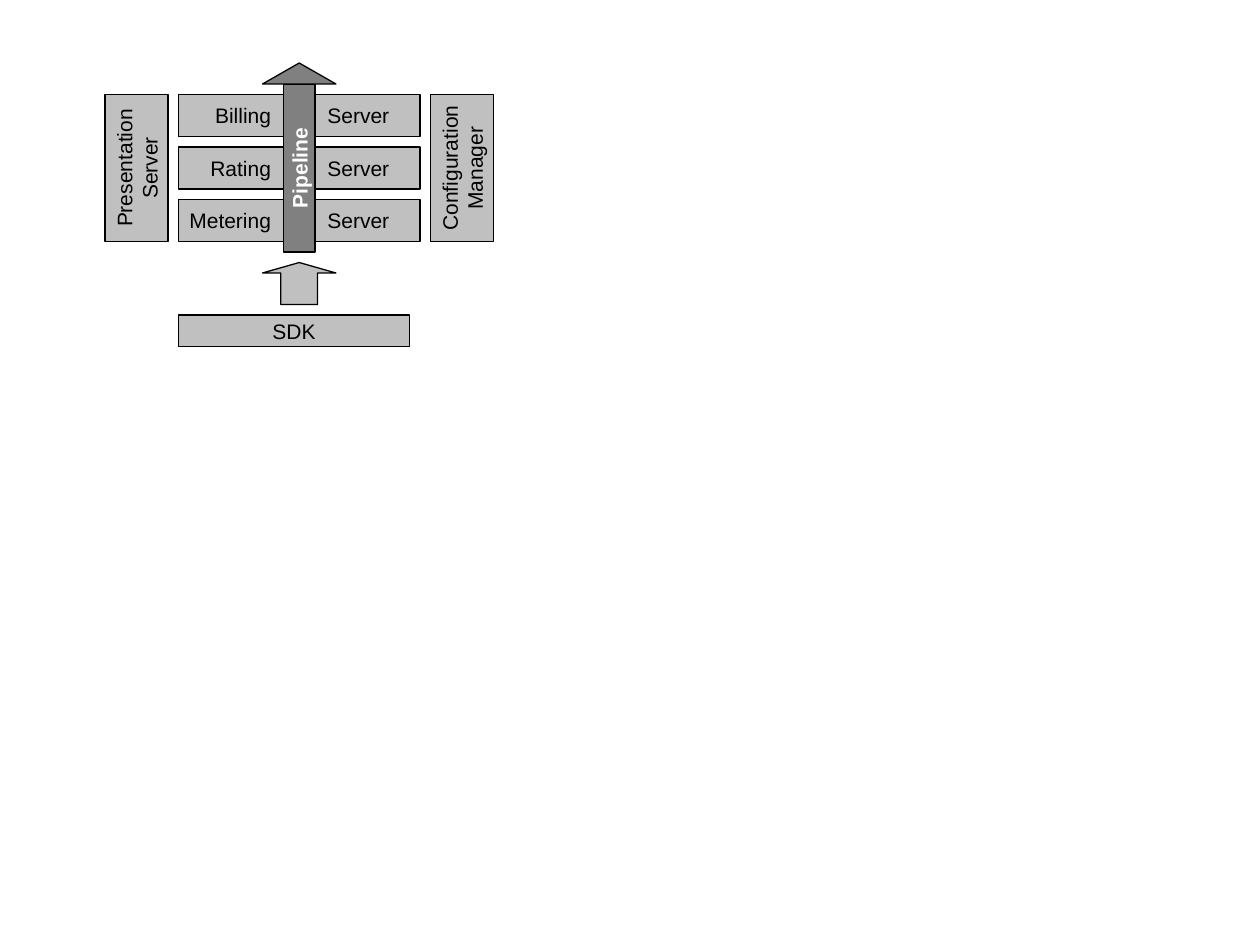
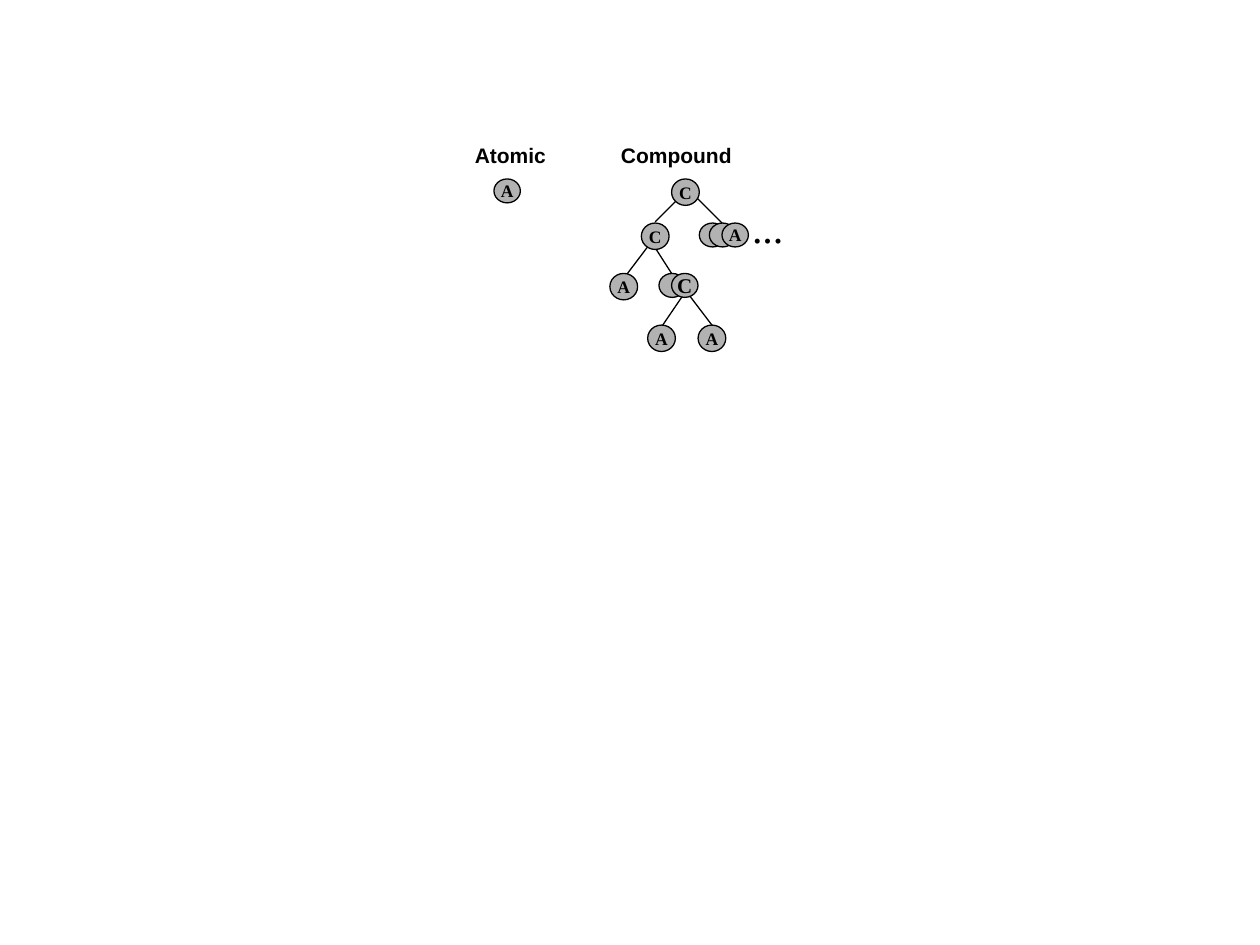
from lxml.etree import SubElement
from pptx import Presentation
from pptx.dml.color import RGBColor
from pptx.enum.shapes import MSO_CONNECTOR as Connector, MSO_SHAPE as Shape
from pptx.enum.text import MSO_ANCHOR as Anchor, MSO_AUTO_SIZE as AutoSize, PP_ALIGN as Align
from pptx.oxml.ns import qn
from pptx.util import Inches, Pt

COLORS = {
    "line": "000000",
    "text": "000000",
    "inverse": "FFFFFF",
    "box": "C0C0C0",
    "pipeline": "808080",
    "node": "B2B2B2",
}
SANS, SERIF = "Arial", "Times New Roman"
LINE_WIDTH = Pt(0.74)
NODE_SIZE = (0.22, 0.21)
SMALL_NODE_SIZE = (0.21, 0.19)


def color(name):
    """Return the named colour."""
    return RGBColor.from_string(COLORS[name])


def grid(*steps):
    """Turn grid steps of a twelfth of an inch into inches."""
    return [step / 12 for step in steps]


def write_text(shape, text, size=12, font=SANS, ink="text", bold=False, align=Align.CENTER,
               anchor=Anchor.MIDDLE, wrap=False, before=0):
    """Write one paragraph per line of text into a shape."""
    frame = shape.text_frame
    frame.word_wrap = wrap
    frame.vertical_anchor = anchor
    frame.text = text
    for paragraph in frame.paragraphs:
        paragraph.alignment = align
        paragraph.space_before = Pt(before)
        style = paragraph.runs[0].font
        style.size, style.name, style.bold = Pt(size), font, bold
        style.color.rgb = color(ink)


def draw_outline(line):
    """Give a shape or connector the common thin outline."""
    line.color.rgb = color("line")
    line.width = LINE_WIDTH


class Diagram:
    """Holds the presentation and draws on the current slide; lengths are in inches."""

    def __init__(self):
        """Open an empty presentation."""
        self.presentation = Presentation()
        self.presentation.slide_width = Inches(10)
        self.presentation.slide_height = Inches(7.5)
        self.slide = None

    def new_slide(self):
        """Start a blank slide."""
        self.slide = self.presentation.slides.add_slide(self.presentation.slide_layouts[6])

    def shape(self, kind, left, top, width, height, fill="box", text=None, **style):
        """Add an outlined preset shape, with text if given."""
        shape = self.slide.shapes.add_shape(
            kind, Inches(left), Inches(top), Inches(width), Inches(height))
        shape.shadow.inherit = False
        shape.fill.solid()
        shape.fill.fore_color.rgb = color(fill)
        draw_outline(shape.line)
        if text:
            write_text(shape, text, **style)
        return shape

    def box(self, left, top, width, height, text, **style):
        """Add a rectangle with a label."""
        return self.shape(Shape.RECTANGLE, left, top, width, height, text=text, **style)

    def upright_box(self, left, top, width, height, text, **style):
        """Add a tall box, placed as seen, whose label reads upwards."""
        shift = (height - width) / 2
        box = self.box(left - shift, top + shift, height, width, text, **style)
        box.rotation = 270

    def node(self, left, top, text=None, node_size=NODE_SIZE, size=10):
        """Add a round tree node."""
        self.shape(Shape.OVAL, left, top, *node_size, fill="node", text=text,
                   size=size, font=SERIF, bold=True)

    def stack(self, lefts, top, text, size=10):
        """Add overlapping small nodes, with a label on the front one."""
        *back, front = lefts
        for left in back:
            self.node(left, top, node_size=SMALL_NODE_SIZE)
        self.node(front, top, text, node_size=SMALL_NODE_SIZE, size=size)

    def branch(self, start, end):
        """Add a straight line between two points."""
        connector = self.slide.shapes.add_connector(
            Connector.STRAIGHT, *(Inches(value) for value in start + end))
        draw_outline(connector.line)
        SubElement(connector._element.spPr, qn("a:effectLst"))

    def label(self, left, top, width, height, text, **style):
        """Add a text box that grows with its text."""
        label = self.slide.shapes.add_textbox(
            Inches(left), Inches(top), Inches(width), Inches(height))
        write_text(label, text, align=Align.LEFT, anchor=Anchor.TOP, **style)
        label.text_frame.auto_size = AutoSize.SHAPE_TO_FIT_TEXT


def build_architecture(diagram):
    """Draw the server layers, the pipeline across them and the SDK below."""
    diagram.new_slide()
    gap = 1
    side_left, side_width = 10, 6
    layer_top, layer_width, layer_height = 9, 10, 4
    pipeline_width = 3
    arrow_width = 7

    name_left = side_left + side_width + gap
    pipeline_left = name_left + layer_width
    server_left = pipeline_left + pipeline_width
    manager_left = server_left + layer_width + gap
    arrow_left = pipeline_left - 2

    layers = ("Billing", "Rating", "Metering")
    pitch = layer_height + gap
    layers_height = len(layers) * pitch - gap
    for row, name in enumerate(layers):
        top = layer_top + row * pitch
        for left, text, align in ((name_left, name, Align.RIGHT),
                                  (server_left, "Server", Align.LEFT)):
            diagram.box(*grid(left, top, layer_width, layer_height), text, align=align)

    for left, text in ((side_left, "Presentation\nServer"),
                       (manager_left, "Configuration\nManager")):
        diagram.upright_box(*grid(left, layer_top, side_width, layers_height), text)

    pipeline_top = layer_top - gap
    pipeline_height = layers_height + 2 * gap
    tip_height = 2
    diagram.upright_box(*grid(pipeline_left, pipeline_top, pipeline_width, pipeline_height),
                        "Pipeline", fill="pipeline", ink="inverse", bold=True)
    diagram.shape(Shape.ISOSCELES_TRIANGLE,
                  *grid(arrow_left, pipeline_top - tip_height, arrow_width, tip_height),
                  fill="pipeline")

    arrow_top = pipeline_top + pipeline_height + gap
    arrow_height = 4
    arrow = diagram.shape(Shape.UP_ARROW,
                          *grid(arrow_left, arrow_top, arrow_width, arrow_height))
    arrow.adjustments[1] = 0.25
    diagram.box(*grid(name_left, arrow_top + arrow_height + gap, 22, 3), "SDK")


def build_tree(diagram):
    """Draw an atomic node beside a compound tree."""
    diagram.new_slide()
    level_1, level_2, level_3, level_4 = 1.42, 1.77, 2.17, 2.58

    for left, heading in ((3.67, "Atomic"), (4.83, "Compound")):
        diagram.label(left, 1.08, 1.08, 0.3, heading, bold=True, wrap=True, before=7.5)
    diagram.label(5.87, 1.55, 0.45, 0.5, "...", size=24, font=SERIF)

    branches = (
        ((5.45, 1.51), (5.2, 1.76)), ((5.48, 1.52), (5.73, level_2)),
        ((5.17, 1.92), (4.92, 2.25)), ((5.17, 1.92), (5.33, level_3)),
        ((5.43, 2.33), (5.26, level_4)), ((5.46, 2.33), (5.65, level_4)),
    )
    for start, end in branches:
        diagram.branch(start, end)

    nodes = ((5.33, level_1, "C"), (5.09, level_2, "C"), (4.84, level_3, "A"),
             (5.14, level_4, "A"), (5.54, level_4, "A"))
    for left, top, name in nodes:
        diagram.node(left, top, name)

    diagram.node(3.92, level_1, "A", node_size=SMALL_NODE_SIZE)
    diagram.stack((5.55, 5.63, 5.73), level_2, "A")
    diagram.stack((5.23, 5.33), level_3, "C", size=12)


def main():
    """Build both slides and save them."""
    diagram = Diagram()
    build_architecture(diagram)
    build_tree(diagram)
    diagram.presentation.save("out.pptx")


main()
